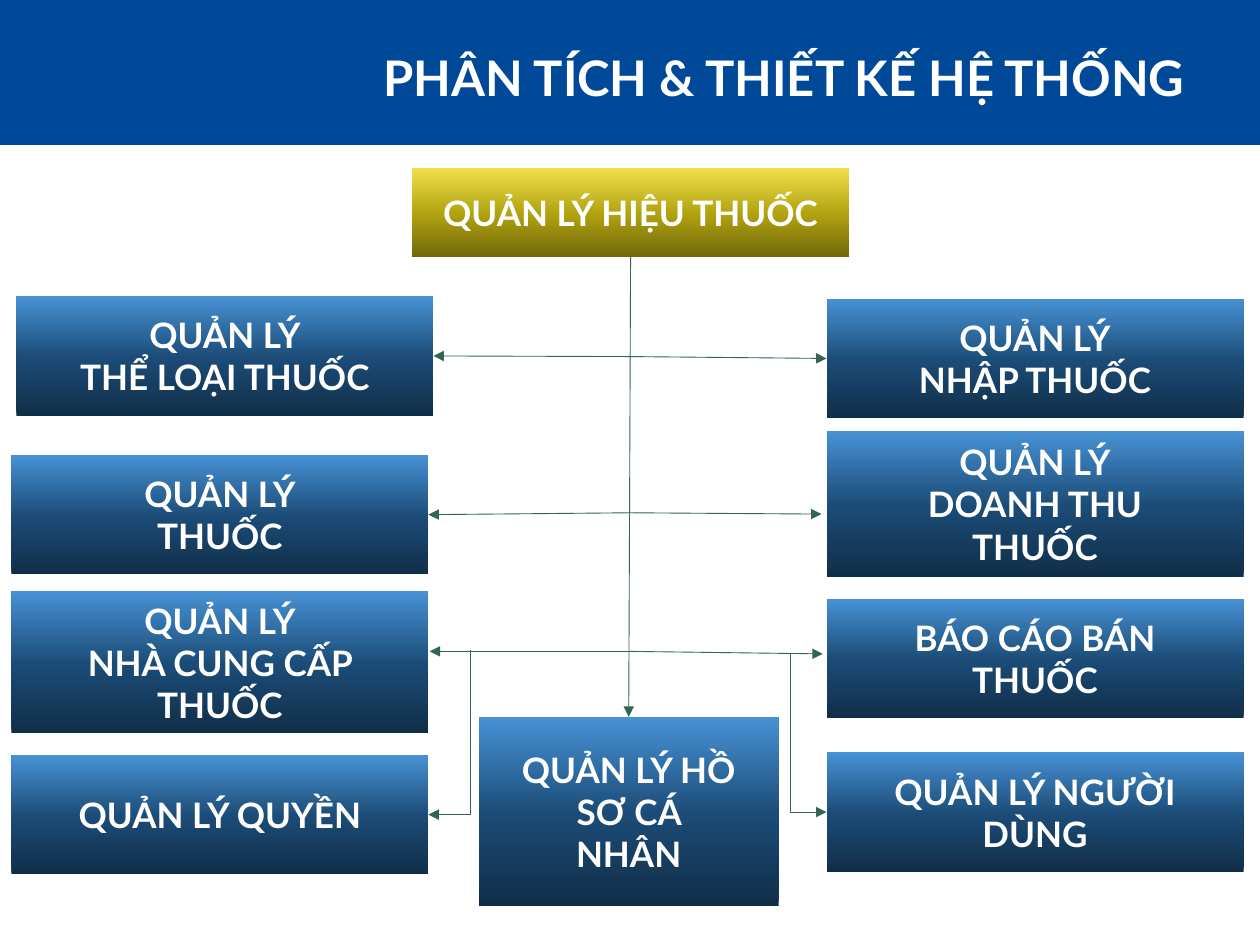
from copy import deepcopy
from dataclasses import dataclass

from lxml.etree import SubElement
from pptx import Presentation
from pptx.dml.color import RGBColor
from pptx.enum.shapes import MSO_CONNECTOR, MSO_SHAPE
from pptx.enum.text import MSO_ANCHOR, MSO_AUTO_SIZE, PP_ALIGN
from pptx.oxml.ns import qn
from pptx.util import Inches, Pt


@dataclass(frozen=True)
class Theme:
    """Colours, font and type sizes of the slide."""
    font: str = "Lato"
    white: str = "FFFFFF"
    band: str = "004998"
    line: str = "326652"
    gold: tuple = ("71670A", "B1A210", "EFE04B")
    blue: tuple = ("112E49", "1B4B76", "4792D5")
    stops: tuple = (0, 0.48, 1)
    title_size: int = 28
    box_size: int = 20
    line_width: float = 0.5


THEME = Theme()
TOP, LEFT, BOTTOM, RIGHT = range(4)
LEFT_X, RIGHT_X, MODULE_WIDTH = 0.09, 6.56, 3.31

MODULES = {
    "category": ((0.13, 2.35, MODULE_WIDTH, 0.95), ["QUẢN LÝ", "THỂ LOẠI THUỐC"]),
    "import": ((RIGHT_X, 2.37, MODULE_WIDTH, 0.95), ["QUẢN LÝ", "NHẬP THUỐC"]),
    "medicine": ((LEFT_X, 3.61, MODULE_WIDTH, 0.95), ["QUẢN LÝ", "THUỐC"]),
    "revenue": ((RIGHT_X, 3.42, MODULE_WIDTH, 1.16), ["QUẢN LÝ", "DOANH THU THUỐC"]),
    "supplier": ((LEFT_X, 4.69, MODULE_WIDTH, 1.13), ["QUẢN LÝ", "NHÀ CUNG CẤP THUỐC"]),
    "report": ((RIGHT_X, 4.75, MODULE_WIDTH, 0.95), ["BÁO CÁO BÁN THUỐC"]),
    "rights": ((LEFT_X, 5.99, MODULE_WIDTH, 0.95), ["QUẢN LÝ QUYỀN"]),
    "users": ((RIGHT_X, 5.97, MODULE_WIDTH, 0.95), ["QUẢN LÝ NGƯỜI DÙNG"]),
}


def inches(values):
    """Turn plain numbers into lengths."""
    return [Inches(value) for value in values]


def apply_format(target, values):
    """Set each attribute named in a dict of format values."""
    for name, value in values.items():
        setattr(target, name, value)


def write_lines(frame, lines, size, align, inset=0.1):
    """Write bold white paragraphs in a text frame."""
    apply_format(frame, {
        "word_wrap": True, "auto_size": MSO_AUTO_SIZE.NONE,
        "vertical_anchor": MSO_ANCHOR.MIDDLE,
        "margin_left": Inches(inset), "margin_right": Inches(inset),
        "margin_top": Inches(0.05), "margin_bottom": Inches(0.05),
    })
    for index, line in enumerate(lines):
        para = frame.add_paragraph() if index else frame.paragraphs[0]
        para.alignment = align
        span = para.add_run()
        span.text = line
        apply_format(span.font, {"name": THEME.font, "size": Pt(size), "bold": True})
        span.font.color.rgb = RGBColor.from_string(THEME.white)


def add_rectangle(page, place):
    """Add a rectangle without line or shadow."""
    box = page.shapes.add_shape(MSO_SHAPE.RECTANGLE, *inches(place))
    box.shadow.inherit = False
    box.line.fill.background()
    return box


def add_header(page, place):
    """Place the band and the title inside it."""
    left, top, width, height = place
    band = add_rectangle(page, place)
    band.fill.solid()
    band.fill.fore_color.rgb = RGBColor.from_string(THEME.band)
    title = page.shapes.title
    title._element.addprevious(band._element)
    names = ("left", "top", "width", "height")
    title_place = inches((left + 2.8, top + 0.3, width - 3.3, height - 0.53))
    apply_format(title, dict(zip(names, title_place)))
    write_lines(title.text_frame, ["PHÂN TÍCH & THIẾT KẾ HỆ THỐNG"],
                THEME.title_size, PP_ALIGN.RIGHT)


def add_module(page, place, lines, colours=THEME.blue, inset=0.42):
    """Add a labelled box whose gradient runs from bottom to top."""
    box = add_rectangle(page, place)
    box.fill.gradient()
    box.fill.gradient_angle = 90
    stop_list = box._element.spPr.find(".//" + qn("a:gsLst"))
    stop_list.append(deepcopy(stop_list[0]))
    for stop, colour, position in zip(box.fill.gradient_stops, colours, THEME.stops):
        stop.color.rgb = RGBColor.from_string(colour)
        stop.position = position
    write_lines(box.text_frame, lines, THEME.box_size, PP_ALIGN.CENTER, inset)
    return box


def add_arrow(page, start, end, kind=MSO_CONNECTOR.STRAIGHT):
    """Add a thin connector with a triangle at its end."""
    arrow = page.shapes.add_connector(kind, *inches((*start, *end)))
    arrow.line.color.rgb = RGBColor.from_string(THEME.line)
    arrow.line.width = Pt(THEME.line_width)
    SubElement(arrow.line._get_or_add_ln(), qn("a:tailEnd"), type="triangle")
    SubElement(arrow._element.spPr, qn("a:effectLst"))
    return arrow


def add_elbow(page, start, target, site):
    """Run an arrow down from a point, then sideways into a box."""
    arrow = add_arrow(page, start, start, MSO_CONNECTOR.ELBOW)
    arrow.end_connect(target, site)
    across, down = arrow.end_x - arrow.begin_x, arrow.end_y - arrow.begin_y
    middle_x, middle_y = arrow.begin_x + across // 2, arrow.begin_y + down // 2
    apply_format(arrow, {
        "left": middle_x - down // 2, "top": middle_y - abs(across) // 2,
        "width": down, "height": abs(across),
    })
    frame = arrow._element.spPr.find(qn("a:xfrm"))
    values = {"rot": 270 if across > 0 else 90, "flipH": across > 0, "flipV": False}
    apply_format(frame, values)
    arrow._element.spPr.find(qn("a:prstGeom")).set("prst", "bentConnector2")


def add_diagram(page, place):
    """Place the root, its modules and the arrows between them."""
    left, top, width, height = place
    root = add_module(page, (left + 3.27, top, 3.47, 0.71),
                      ["QUẢN LÝ HIỆU THUỐC"], THEME.gold, 0.17)
    boxes = {name: add_module(page, *module) for name, module in MODULES.items()}
    profile = add_module(page, (left + 3.8, top + height - 1.5, 2.38, 1.5),
                         ["QUẢN LÝ HỒ SƠ CÁ NHÂN"], inset=0.33)

    trunk_x = left + width / 2
    trunk = add_arrow(page, (trunk_x, top + 0.71), (trunk_x, top + height - 1.5))
    trunk.begin_connect(root, BOTTOM)
    trunk.end_connect(profile, TOP)

    branches = [
        (2.83, (3.44, 2.83), ("category", RIGHT)),
        (2.83, (6.56, 2.84), ("import", LEFT)),
        (4.07, (3.41, 4.07), ("medicine", RIGHT)),
        (4.07, (6.52, 4.08), None),
        (5.17, (3.41, 5.17), None),
        (5.17, (6.53, 5.19), None),
    ]
    for height_on_trunk, end, joint in branches:
        arrow = add_arrow(page, (trunk_x, height_on_trunk), end)
        if joint:
            name, site = joint
            arrow.end_connect(boxes[name], site)
    add_elbow(page, (3.73, 5.16), boxes["rights"], RIGHT)
    add_elbow(page, (6.27, 5.19), boxes["users"], LEFT)


def main():
    """Build and save the deck."""
    deck = Presentation()
    deck.slide_width, deck.slide_height = inches((10, 7.5))
    page = deck.slides.add_slide(deck.slide_layouts[5])
    add_header(page, (0, 0, 10, 1.15))
    add_diagram(page, (0, 1.33, 10, 5.86))
    deck.save("out.pptx")


if __name__ == "__main__":
    main()
